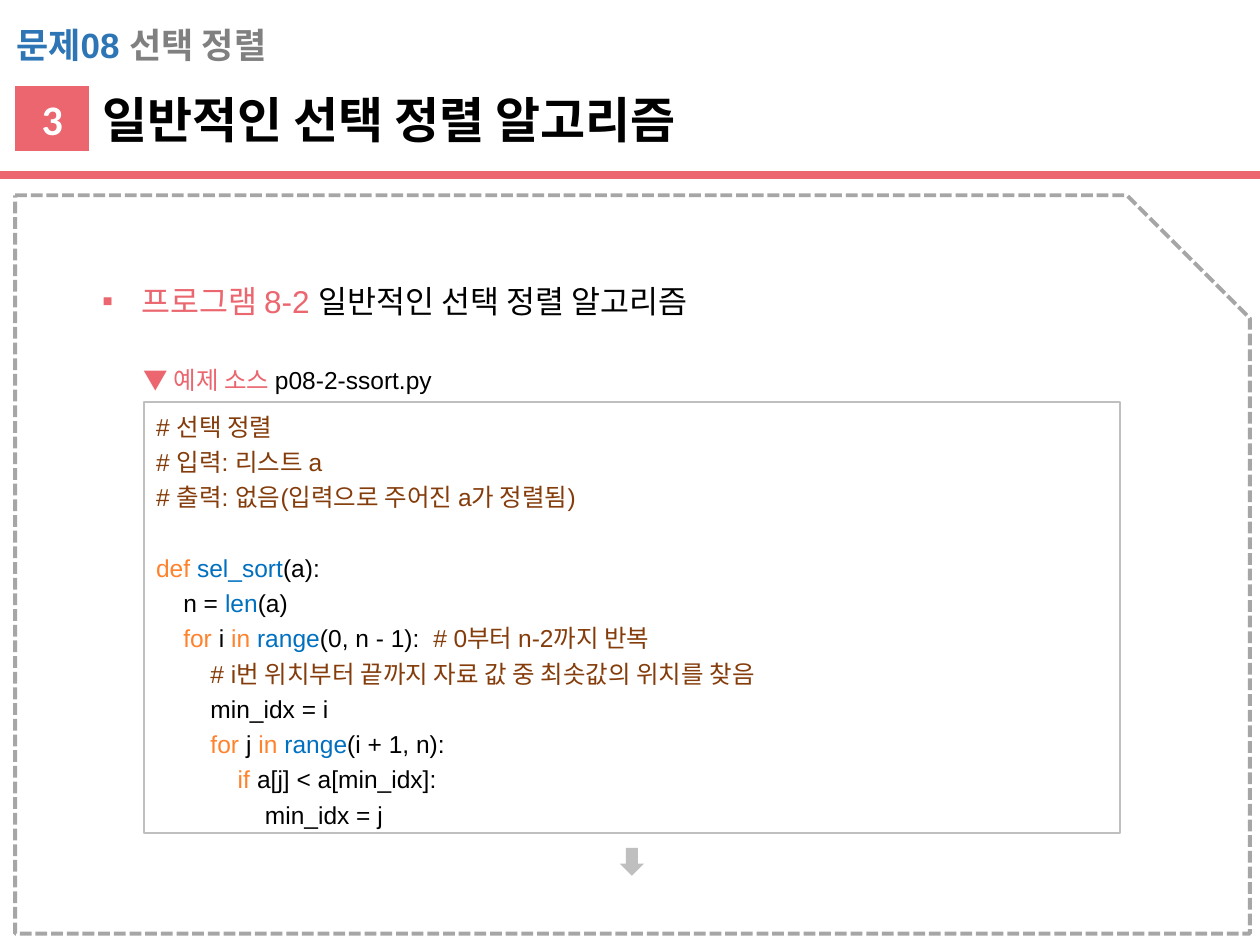
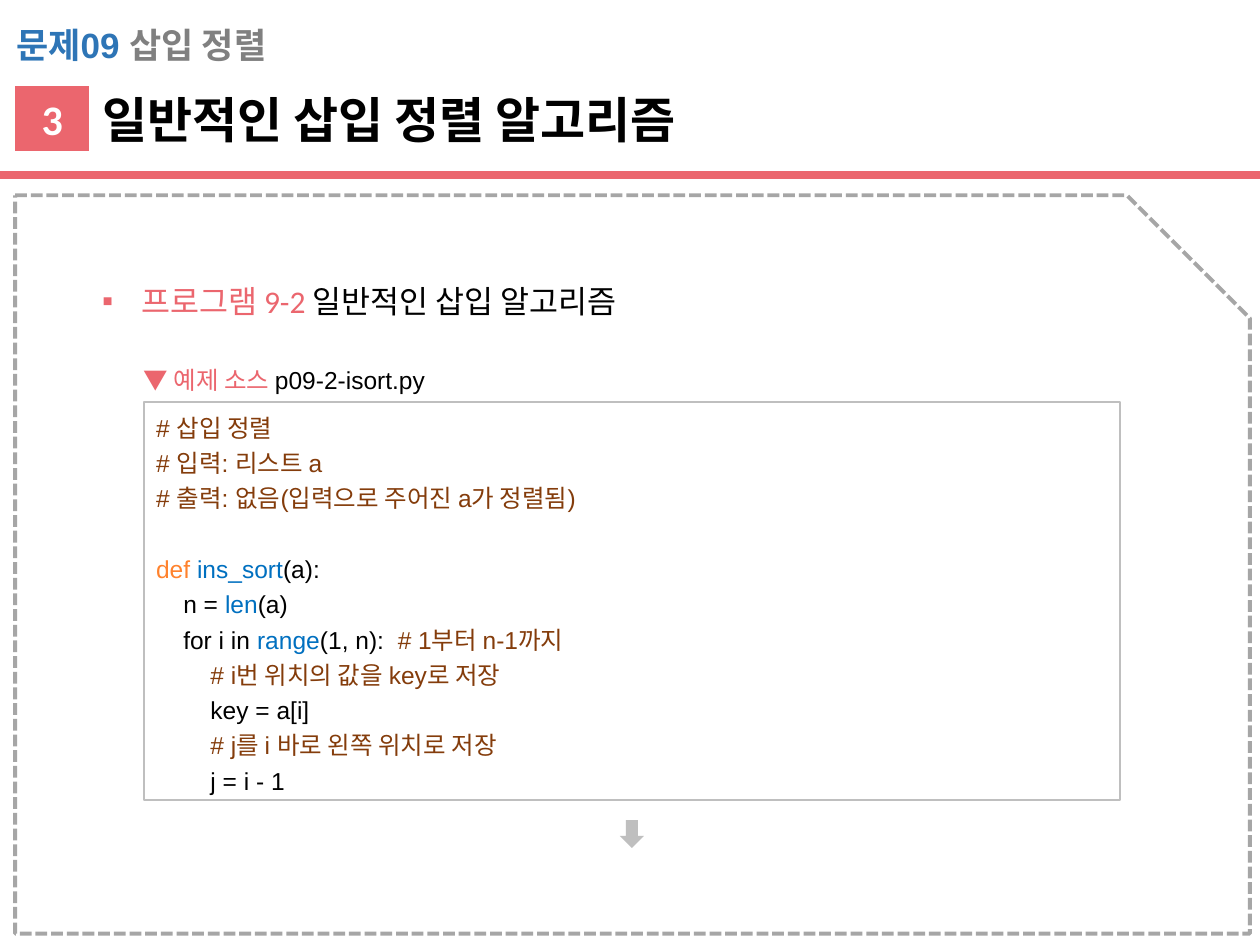
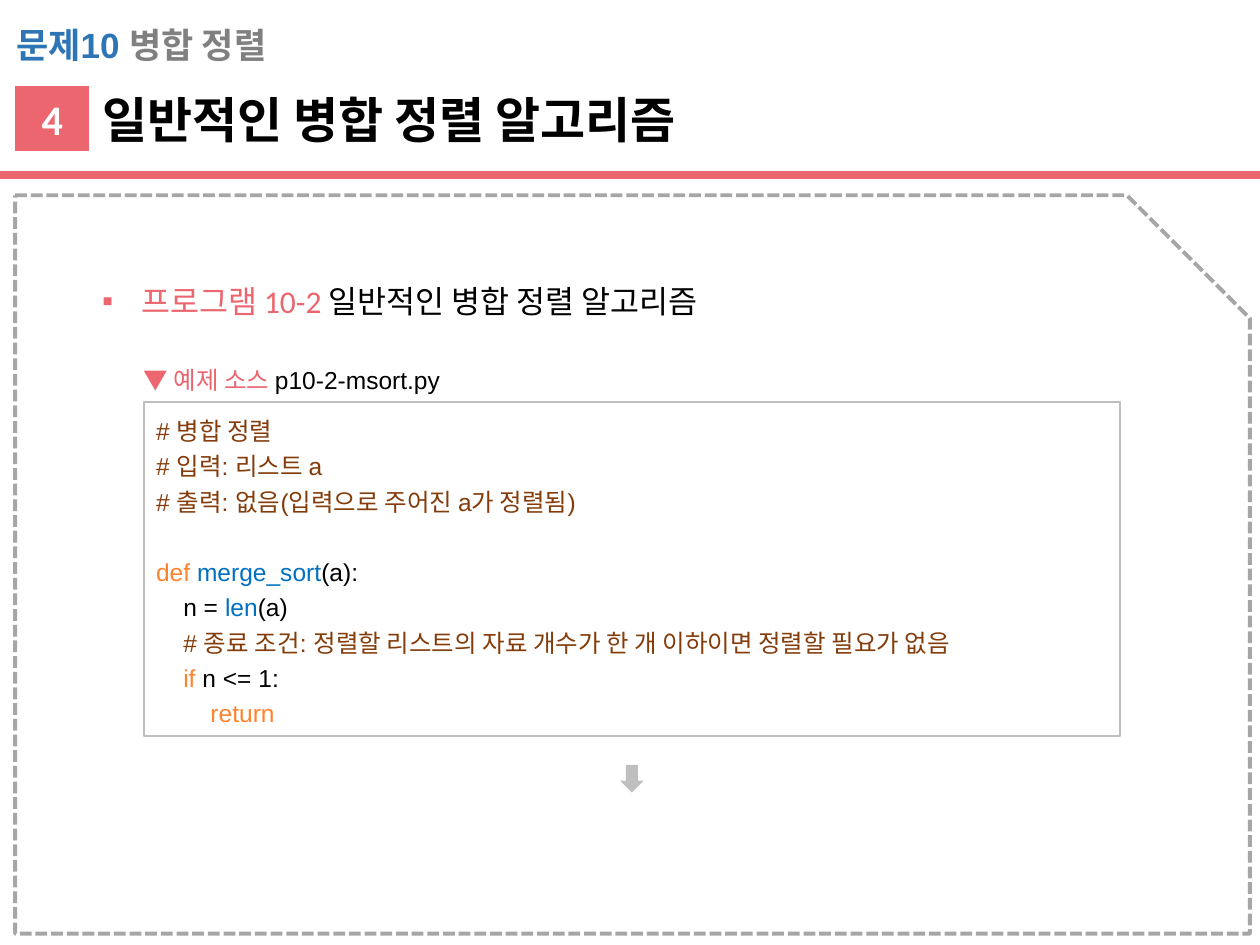
from dataclasses import dataclass
from typing import NamedTuple

from lxml import etree
from pptx import Presentation
from pptx import util as u
from pptx.dml.color import RGBColor
from pptx.enum import dml, shapes, text
from pptx.oxml import ns

CORAL, BLUE, GRAY, DARK, WHITE = "EB666E", "2E75B6", "808080", "000000", "FFFFFF"
FRAME_GRAY, BOX_GRAY = "A6A6A6", "BFBFBF"
COMMENT, KEYWORD, NAME = "843C0B", "FF822D", "0070C0"
CODE_LINE_HEIGHT = u.Pt(20.2)


class Place(NamedTuple):
    left: float
    top: float
    width: float
    height: float

    def lengths(self) -> list:
        return [u.Inches(value) for value in self]


class Span(NamedTuple):
    words: str
    color: str = DARK
    size: float = 14
    face: str = "Arial"
    bold: bool = False


@dataclass
class Lesson:
    problem: str
    topic: str
    step: str
    heading: str
    program: str
    program_face: str
    program_title: str
    source_file: str
    function: str
    code: list
    box_height: float
    arrow_top: float


FRAME = Place(0.12, 1.55, 9.8, 5.86)
PROBLEM = Place(0.03, 0.14, 9.45, 0.44)
BADGE = Place(0.12, 0.68, 0.59, 0.52)
HEADING = Place(0.71, 0.66, 9.21, 0.57)
PROGRAM = Place(0.71, 1.99, 8.77, 0.6)
SOURCE = Place(1.04, 2.85, 3.42, 0.34)
RULE_TOP = 1.39


def comment(words: str) -> Span:
    return Span(words, COMMENT)


def keyword(words: str) -> Span:
    return Span(words, KEYWORD)


def name(words: str) -> Span:
    return Span(words, NAME)


def rgb(color: str) -> RGBColor:
    return RGBColor.from_string(color)


def assign(target, values: dict) -> None:
    for key, value in values.items():
        setattr(target, key, value)


def write(paragraph, spans: list, **layout) -> None:
    assign(paragraph, {"alignment": text.PP_ALIGN.LEFT, "space_before": u.Pt(0), **layout})
    for span in spans:
        run = paragraph.add_run()
        run.text = span.words
        assign(run.font, {"size": u.Pt(span.size), "name": span.face, "bold": span.bold})
        run.font.color.rgb = rgb(span.color)


def set_frame(shape, anchor=text.MSO_ANCHOR.TOP):
    assign(shape.text_frame, {
        "word_wrap": True,
        "auto_size": text.MSO_AUTO_SIZE.NONE,
        "vertical_anchor": anchor,
    })
    return shape.text_frame


def add_label(slide, place: Place, spans: list) -> None:
    label = slide.shapes.add_textbox(*place.lengths())
    write(set_frame(label).paragraphs[0], spans)


def fill_placeholder(holder, place: Place):
    assign(holder, dict(zip(("left", "top", "width", "height"), place.lengths())))
    return set_frame(holder).paragraphs[0]


def add_shape(slide, kind, place: Place, fill: str = "", line: str = "", weight: float = 1):
    shape = slide.shapes.add_shape(kind, *place.lengths())
    shape.shadow.inherit = False
    if fill:
        shape.fill.solid()
        shape.fill.fore_color.rgb = rgb(fill)
    else:
        shape.fill.background()
    if line:
        shape.line.color.rgb = rgb(line)
        shape.line.width = u.Pt(weight)
    else:
        shape.line.fill.background()
    return shape


def add_rule(slide) -> None:
    top = u.Inches(RULE_TOP)
    rule = slide.shapes.add_connector(shapes.MSO_CONNECTOR.STRAIGHT, 0, top, u.Inches(10), top)
    rule.line.color.rgb = rgb(CORAL)
    rule.line.width = u.Pt(4.5)
    etree.SubElement(rule._element.spPr, ns.qn("a:effectLst"))


def add_bullet(paragraph) -> None:
    properties = paragraph._p.get_or_add_pPr()
    properties.set("marL", str(u.Inches(0.31)))
    properties.set("indent", str(-u.Inches(0.31)))
    tint = etree.SubElement(properties, ns.qn("a:buClr"))
    etree.SubElement(tint, ns.qn("a:srgbClr"), val=CORAL)
    etree.SubElement(properties, ns.qn("a:buFont"), typeface="Arial")
    etree.SubElement(properties, ns.qn("a:buChar"), char="▪")


def add_header(slide, lesson: Lesson) -> None:
    border = add_shape(slide, shapes.MSO_SHAPE.SNIP_1_RECTANGLE, FRAME, line=FRAME_GRAY, weight=2.25)
    border.line.dash_style = dml.MSO_LINE.SQUARE_DOT
    add_rule(slide)
    add_label(slide, PROBLEM, [
        Span(f"문제{lesson.problem} ", BLUE, 20, bold=True),
        Span(lesson.topic, GRAY, 20, bold=True),
    ])
    badge = add_shape(slide, shapes.MSO_SHAPE.FLOWCHART_PROCESS, BADGE, fill=CORAL)
    write(set_frame(badge, text.MSO_ANCHOR.MIDDLE).paragraphs[0],
          [Span(lesson.step, WHITE, 24, "Calibri", True)], alignment=text.PP_ALIGN.CENTER)
    write(fill_placeholder(slide.shapes.title, HEADING), [Span(lesson.heading, DARK, 28, bold=True)])


def add_code(slide, lesson: Lesson) -> None:
    place = Place(1.14, 3.19, 7.75, lesson.box_height)
    box = add_shape(slide, shapes.MSO_SHAPE.RECTANGLE, place, line=BOX_GRAY)
    frame = set_frame(box, text.MSO_ANCHOR.MIDDLE)
    opening = [
        [comment(f"# {lesson.topic}")],
        [comment("# 입력: 리스트 a")],
        [comment("# 출력: 없음(입력으로 주어진 a가 정렬됨)")],
    ]
    definition = [
        [keyword("def "), name(lesson.function), Span("(a):")],
        [Span("    n = "), name("len"), Span("(a)")],
    ]
    for index, line in enumerate(opening + definition + lesson.code):
        paragraph = frame.add_paragraph() if index else frame.paragraphs[0]
        gap = CODE_LINE_HEIGHT if index == len(opening) else u.Pt(0)
        write(paragraph, line, line_spacing=1.2, space_before=gap)


def build_lesson(deck, lesson: Lesson) -> None:
    slide = deck.slides.add_slide(deck.slide_layouts[1])
    add_header(slide, lesson)
    program = fill_placeholder(slide.placeholders[1], PROGRAM)
    add_bullet(program)
    write(program, [
        Span(f"프로그램 {lesson.program} ", CORAL, 18, lesson.program_face),
        Span(lesson.program_title, DARK, 18, lesson.program_face),
    ], line_spacing=1.65)
    add_code(slide, lesson)
    add_label(slide, SOURCE, [Span("▼ 예제 소스 ", CORAL), Span(lesson.source_file)])
    add_shape(slide, shapes.MSO_SHAPE.DOWN_ARROW, Place(4.92, lesson.arrow_top, 0.19, 0.22), fill=BOX_GRAY)


LESSONS = [
    Lesson(
        "08", "선택 정렬", "3", "일반적인 선택 정렬 알고리즘",
        "8-2", "Arial", "일반적인 선택 정렬 알고리즘", "p08-2-ssort.py", "sel_sort",
        [
            [keyword("    for "), Span("i "), keyword("in "), name("range"),
             Span("(0, n - 1):  "), comment("# 0부터 n-2까지 반복")],
            [comment("        # i번 위치부터 끝까지 자료 값 중 최솟값의 위치를 찾음")],
            [Span("        min_idx = i")],
            [keyword("        for"), Span(" j "), keyword("in "), name("range"), Span("(i + 1, n):")],
            [keyword("            if"), Span(" a[j] < a[min_idx]:")],
            [Span("                min_idx = j")],
        ],
        3.42, 6.73,
    ),
    Lesson(
        "09", "삽입 정렬", "3", "일반적인 삽입 정렬 알고리즘",
        "9-2", "Calibri", "일반적인 삽입 알고리즘", "p09-2-isort.py", "ins_sort",
        [
            [Span("    for i in "), name("range"), Span("(1, n):  "), comment("# 1부터 n-1까지")],
            [comment("        # i번 위치의 값을 key로 저장")],
            [Span("        key = a[i]")],
            [comment("        # j를 i 바로 왼쪽 위치로 저장")],
            [Span("        j = i - 1")],
        ],
        3.16, 6.51,
    ),
    Lesson(
        "10", "병합 정렬", "4", "일반적인 병합 정렬 알고리즘",
        "10-2", "Calibri", "일반적인 병합 정렬 알고리즘", "p10-2-msort.py", "merge_sort",
        [
            [comment("    # 종료 조건: 정렬할 리스트의 자료 개수가 한 개 이하이면 정렬할 필요가 없음")],
            [keyword("    if"), Span(" n <= 1:")],
            [keyword("        return")],
        ],
        2.65, 6.07,
    ),
]


def main() -> None:
    deck = Presentation()
    assign(deck, {"slide_width": u.Inches(10), "slide_height": u.Inches(7.5)})
    for lesson in LESSONS:
        build_lesson(deck, lesson)
    deck.save("out.pptx")


if __name__ == "__main__":
    main()
